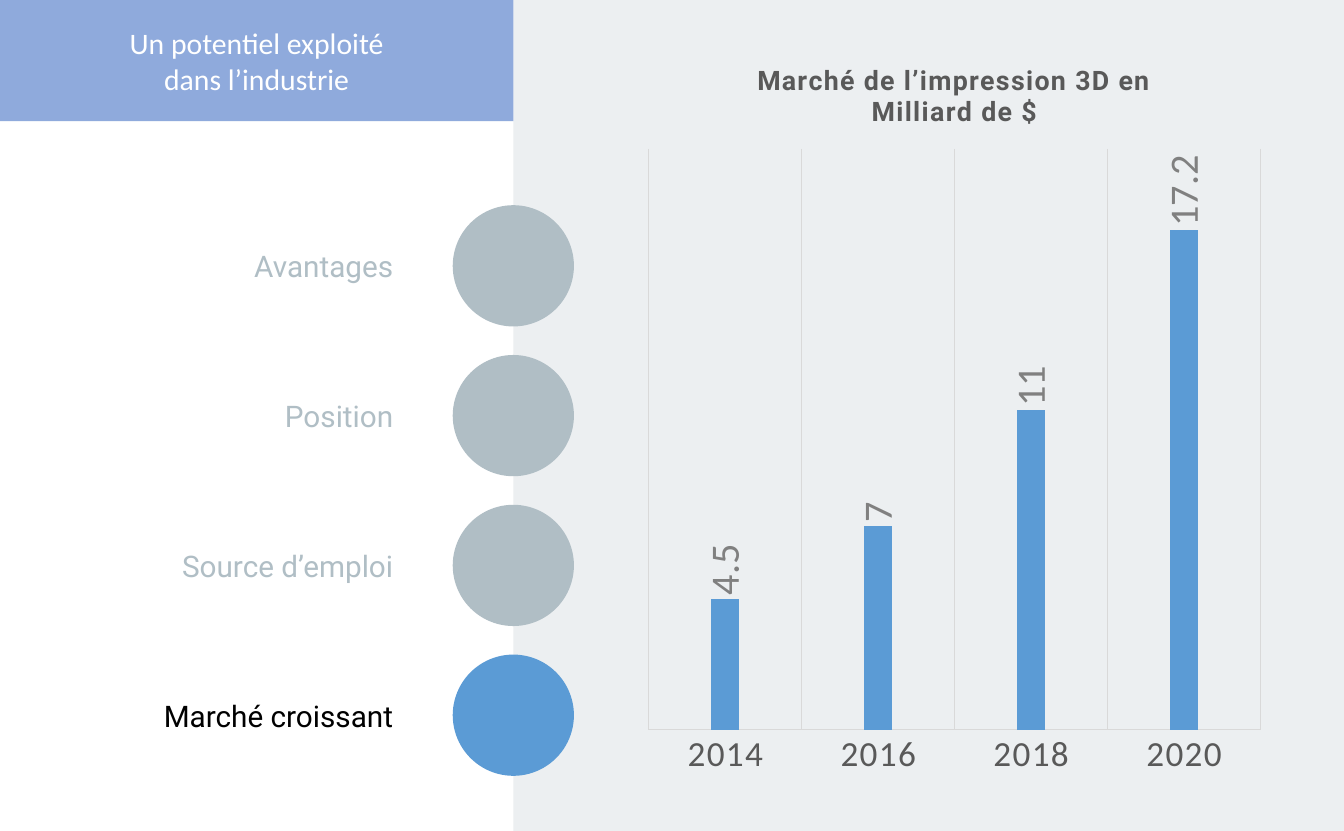
from pptx import Presentation
from pptx.chart.data import CategoryChartData
from pptx.dml.color import RGBColor
from pptx.enum.chart import XL_CHART_TYPE, XL_LABEL_POSITION, XL_TICK_LABEL_POSITION, XL_TICK_MARK
from pptx.enum.shapes import MSO_SHAPE
from pptx.enum.text import MSO_ANCHOR, PP_ALIGN
from pptx.util import Pt

COLORS = {
    "panel": "ECEFF1", "header": "8FAADC", "inactive": "B0BEC5", "active": "5B9BD5",
    "white": "FFFFFF", "black": "000000", "axis": "595959", "grid": "D9D9D9",
    "value": "808080",
}
WIDTH, HEIGHT = 1068.66, 660.47
PANEL_LEFT = WIDTH - HEIGHT
HEADER_HEIGHT = CIRCLE_SIZE = 96.38
FIRST_TOP, STEP = 163.1, 119.06
LABEL_HEIGHT = 36
TEXT_SIZE = 23.6
TOPICS = ["Avantages", "Position", "Source d’emploi", "Marché croissant"]
MARKET = {2014: 4.5, 2016: 7, 2018: 11, 2020: 17.2}


def color(name):
    return RGBColor.from_string(COLORS[name])


def style_font(font, name, size, color_name, bold=False):
    font.name = name
    font.size = Pt(size)
    font.bold = bold
    font.color.rgb = color(color_name)


def style_line(line):
    line.color.rgb = color("grid")
    line.width = Pt(0.75)


def add_text(shape, text, font_name, color_name, alignment):
    text_frame = shape.text_frame
    text_frame.text = text
    text_frame.word_wrap = True
    text_frame.vertical_anchor = MSO_ANCHOR.MIDDLE
    for paragraph in text_frame.paragraphs:
        paragraph.alignment = alignment
        for run in paragraph.runs:
            style_font(run.font, font_name, TEXT_SIZE, color_name)


def add_filled_shape(slide, kind, left, top, width, height, fill):
    shape = slide.shapes.add_shape(kind, Pt(left), Pt(top), Pt(width), Pt(height))
    shape.shadow.inherit = False
    shape.fill.solid()
    shape.fill.fore_color.rgb = color(fill)
    shape.line.fill.background()
    return shape


def add_topic(slide, index, text):
    active = index == len(TOPICS) - 1
    top = FIRST_TOP + index * STEP
    add_filled_shape(slide, MSO_SHAPE.OVAL, PANEL_LEFT - CIRCLE_SIZE / 2, top,
                     CIRCLE_SIZE, CIRCLE_SIZE, "active" if active else "inactive")
    label_top = top + (CIRCLE_SIZE - LABEL_HEIGHT) / 2
    label = slide.shapes.add_textbox(Pt(62), Pt(label_top), Pt(257.8), Pt(LABEL_HEIGHT))
    add_text(label, text, "Roboto", "black" if active else "inactive", PP_ALIGN.RIGHT)


def set_plot_layout(chart, x, y, width, height):
    plot_area = chart.plots[0]._element.getparent()
    layout = plot_area.find("{*}layout")
    if layout is None:
        layout = plot_area.makeelement(plot_area.tag.replace("plotArea", "layout"), {})
        plot_area.insert(0, layout)
    prefix = plot_area.tag.replace("plotArea", "")

    def add_child(parent, tag, value=None):
        child = parent.makeelement(prefix + tag, {} if value is None else {"val": str(value)})
        parent.append(child)
        return child

    manual = add_child(layout, "manualLayout")
    for tag, value in [("layoutTarget", "inner"), ("xMode", "edge"), ("yMode", "edge"),
                       ("x", x), ("y", y), ("w", width), ("h", height)]:
        add_child(manual, tag, value)


def set_letter_spacing(element, hundredths):
    for properties in element.xpath(".//a:defRPr | .//a:rPr"):
        properties.set("spc", str(hundredths))


def add_market_chart(slide):
    data = CategoryChartData()
    data.categories = list(MARKET)
    data.add_series("Series 1", list(MARKET.values()))
    frame = slide.shapes.add_chart(XL_CHART_TYPE.COLUMN_CLUSTERED, Pt(504.7), Pt(30.2),
                                   Pt(508.3), Pt(608.4), data)
    chart = frame.chart
    style_font(chart.font, "Calibri", 10, "black")
    chart.has_legend = False
    set_plot_layout(chart, 0.022, 0.145, 0.957, 0.759)

    # Title
    title = chart.chart_title
    title.text_frame.text = "Marché de l’impression 3D en Milliard de $"
    style_font(title.text_frame.paragraphs[0].runs[0].font, "Roboto", 21.3, "axis", bold=True)
    set_letter_spacing(title._element, 120)
    title.include_in_layout = False

    # Axes
    years = chart.category_axis
    years.major_tick_mark = years.minor_tick_mark = XL_TICK_MARK.NONE
    years.tick_label_position = XL_TICK_LABEL_POSITION.NEXT_TO_AXIS
    years.has_major_gridlines = True
    style_line(years.major_gridlines.format.line)
    style_line(years.format.line)
    style_font(years.tick_labels.font, "Calibri", 28, "axis")
    set_letter_spacing(years._element, 120)
    amounts = chart.value_axis
    amounts.minimum_scale, amounts.maximum_scale = 0, 20
    amounts.has_major_gridlines = False
    amounts.visible = False

    # Columns and upright value labels
    plot = chart.plots[0]
    plot.vary_by_categories = False
    plot.gap_width, plot.overlap = 444, -90
    series = plot.series[0]
    series.format.fill.solid()
    series.format.fill.fore_color.rgb = color("active")
    labels = series.data_labels
    labels.show_value = True
    labels.position = XL_LABEL_POSITION.OUTSIDE_END
    style_font(labels.font, "Calibri", 32, "value")
    for body in labels._element.xpath("./c:txPr/a:bodyPr"):
        body.set("rot", "-5400000")
        body.set("vert", "horz")


def main():
    presentation = Presentation()
    presentation.slide_width, presentation.slide_height = Pt(WIDTH), Pt(HEIGHT)
    slide = presentation.slides.add_slide(presentation.slide_layouts[6])

    # Right panel and header
    add_filled_shape(slide, MSO_SHAPE.RECTANGLE, PANEL_LEFT, 0, HEIGHT, HEIGHT, "panel")
    header = add_filled_shape(slide, MSO_SHAPE.RECTANGLE, 0, 0, PANEL_LEFT, HEADER_HEIGHT, "header")
    add_text(header, "Un potentiel exploité\ndans l’industrie", "Calibri", "white", PP_ALIGN.CENTER)

    # Topics
    for index, text in enumerate(TOPICS):
        add_topic(slide, index, text)

    add_market_chart(slide)
    presentation.save("out.pptx")


if __name__ == "__main__":
    main()
